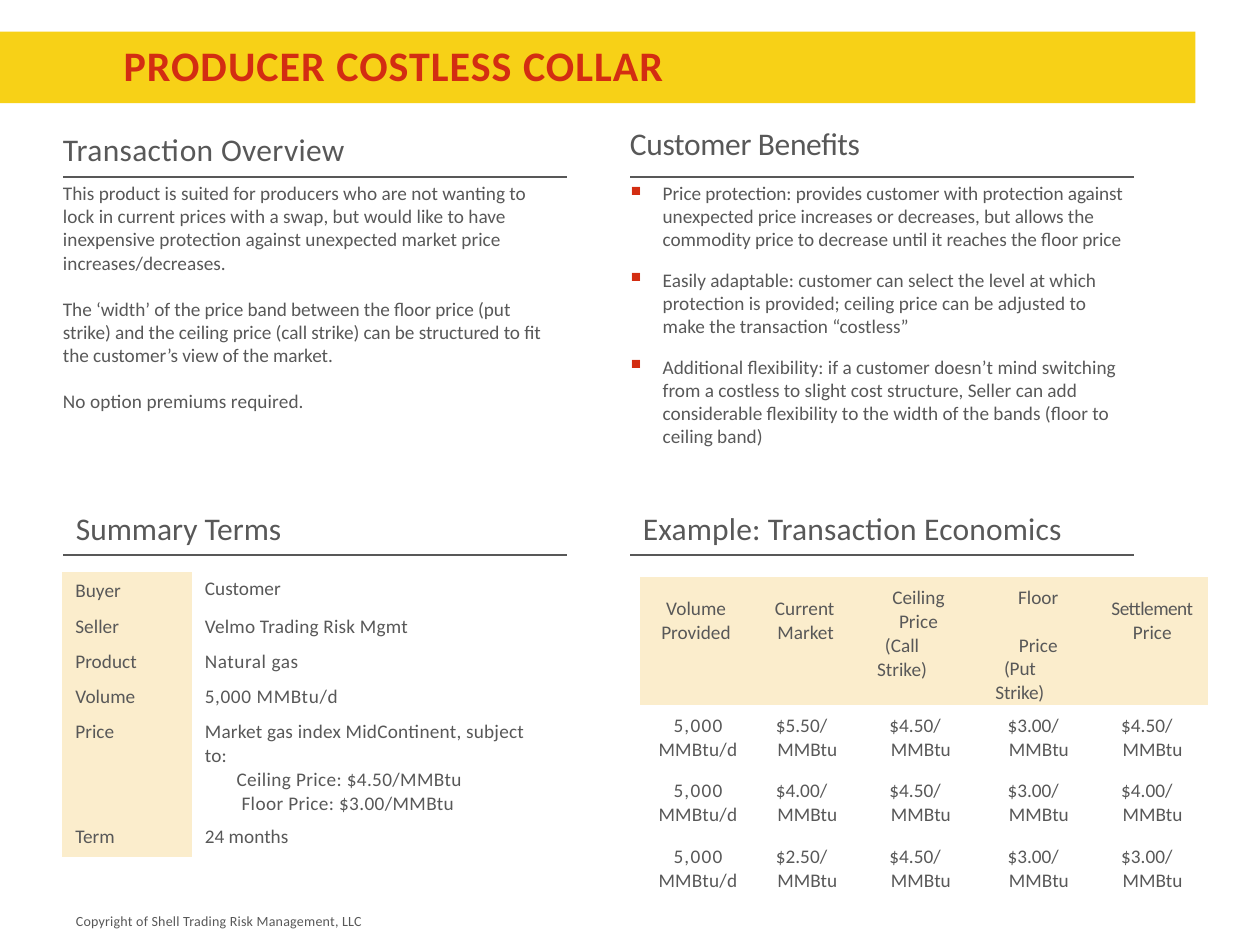
"""Build the producer costless collar slide."""
from dataclasses import dataclass, field
from typing import Any

from lxml import etree
from pptx import Presentation
from pptx.dml.color import RGBColor
from pptx.enum import shapes, text
from pptx.oxml.ns import qn
from pptx.util import Cm, Pt


@dataclass(frozen=True)
class Theme:
    """Colours, font and type sizes of the slide."""
    band: str = "F7D117"
    accent: str = "D32D12"
    ink: str = "585858"
    cream: str = "FBEDCC"
    font: str = "Calibri"
    title: float = 24
    heading: float = 18
    body: float = 11
    note: float = 8
    plain_table: str = "{2D5ABB26-0587-4C30-8999-92F81FD0307C}"


THEME = Theme()
CENTER = text.PP_ALIGN.CENTER


@dataclass(frozen=True)
class Line:
    """One paragraph; indents in cm, tracking and space before in points."""
    words: str
    left: float = 0
    first: float = 0
    right: float = 0
    tracking: float = 0
    before: float = 0
    align: Any = None
    bullet: bool = False


@dataclass(frozen=True)
class Box:
    """A text box placed in cm."""
    left: float
    top: float
    width: float
    height: float
    lines: list[Line]
    size: float = THEME.body


@dataclass(frozen=True)
class Cell:
    """A table cell with its top margin in cm."""
    lines: list[Line] = field(default_factory=list)
    top: float = 0.1
    filled: bool = False


def apply(target: Any, values: dict[str, Any]) -> None:
    """Set every named attribute on the target."""
    for name, value in values.items():
        setattr(target, name, value)


def add_bullet(properties: Any) -> None:
    """Give the paragraph a small square accent bullet."""
    colour = etree.SubElement(properties, qn("a:buClr"))
    etree.SubElement(colour, qn("a:srgbClr"), val=THEME.accent)
    etree.SubElement(properties, qn("a:buSzPct"), val="73000")
    etree.SubElement(properties, qn("a:buChar"), char="■")


def write(frame: Any, lines: list[Line], size: float, colour: str = THEME.ink,
          bold: bool = False) -> None:
    """Fill a text frame with formatted paragraphs."""
    for index, line in enumerate(lines):
        paragraph = frame.paragraphs[0] if index == 0 else frame.add_paragraph()
        properties = paragraph._p.get_or_add_pPr()
        for name, length in (("marL", line.left), ("marR", line.right), ("indent", line.first)):
            properties.set(name, str(int(Cm(length))))
        if line.bullet:
            add_bullet(properties)
        apply(paragraph, {"alignment": line.align or text.PP_ALIGN.LEFT,
                          "space_before": Pt(line.before)})
        run = paragraph.add_run()
        run.text = line.words
        apply(run.font, {"name": THEME.font, "size": Pt(size), "bold": bold})
        run.font.color.rgb = RGBColor.from_string(colour)
        run.font._element.set("spc", str(round(line.tracking * 100)))


def prepare(frame: Any) -> None:
    """Wrap a text frame and trim its margins."""
    apply(frame, {"word_wrap": True, "auto_size": text.MSO_AUTO_SIZE.NONE,
                  "vertical_anchor": text.MSO_ANCHOR.TOP, "margin_left": Cm(0.03),
                  "margin_right": 0, "margin_top": Cm(0.05), "margin_bottom": 0})


def add_box(slide: Any, box: Box) -> None:
    """Draw a text box."""
    shape = slide.shapes.add_textbox(Cm(box.left), Cm(box.top), Cm(box.width), Cm(box.height))
    prepare(shape.text_frame)
    write(shape.text_frame, box.lines, box.size)


def add_rule(slide: Any, left: float, top: float) -> None:
    """Draw the line under a heading."""
    rule = slide.shapes.add_connector(shapes.MSO_CONNECTOR.STRAIGHT, Cm(left), Cm(top),
                                      Cm(left + 10.16), Cm(top))
    rule.line.width = Pt(1.2)
    rule.line.color.rgb = RGBColor.from_string(THEME.ink)
    etree.SubElement(rule._element.spPr, qn("a:effectLst"))


def add_table(slide: Any, left: float, top: float, widths: list[float],
              heights: list[float], rows: list[list[Cell]]) -> None:
    """Draw a table without a banded style."""
    frame = slide.shapes.add_table(len(heights), len(widths), Cm(left), Cm(top),
                                   Cm(sum(widths)), Cm(sum(heights)))
    frame.element.find(".//" + qn("a:tableStyleId")).text = THEME.plain_table
    table = frame.table
    apply(table, {"first_row": False, "horz_banding": False})
    for column, width in zip(table.columns, widths):
        column.width = Cm(width)
    for table_row, height, row in zip(table.rows, heights, rows):
        table_row.height = Cm(height)
        for cell, content in zip(table_row.cells, row):
            apply(cell, {"margin_left": 0, "margin_right": 0, "margin_bottom": 0,
                         "margin_top": Cm(content.top)})
            if content.filled:
                cell.fill.solid()
                cell.fill.fore_color.rgb = RGBColor.from_string(THEME.cream)
            else:
                cell.fill.background()
            if content.lines:
                write(cell.text_frame, content.lines, THEME.body)
            else:
                paragraph = cell.text_frame.paragraphs[0]
                etree.SubElement(paragraph._p, qn("a:endParaRPr"), sz="800")


def add_title(slide: Any, words: str) -> None:
    """Draw the title over its band."""
    band = slide.shapes.add_shape(shapes.MSO_SHAPE.RECTANGLE, 0, Cm(0.64), Cm(24.1), Cm(1.44))
    band.shadow.inherit = False
    band.fill.solid()
    band.fill.fore_color.rgb = RGBColor.from_string(THEME.band)
    band.line.fill.background()
    title = slide.shapes.title
    slide.shapes.element.append(title.element)
    apply(title, {"left": Cm(2.46), "top": Cm(0.74), "width": Cm(12), "height": Cm(1.09)})
    prepare(title.text_frame)
    write(title.text_frame, [Line(words, tracking=0.6)], THEME.title, THEME.accent, True)


def term_rows() -> list[list[Cell]]:
    """Return the rows of the summary terms."""
    price = [Line("Market gas index MidContinent, subject to:", 0.25, right=0.6, tracking=0.1),
             Line("Ceiling Price: $4.50/MMBtu Floor Price: $3.00/MMBtu", 0.99, -0.1, 1.78, 0.2)]
    terms = [("Buyer", [Line("Customer", 0.25)]),
             ("Seller", [Line("Velmo Trading Risk Mgmt", 0.25, tracking=0.1)]),
             ("Product", [Line("Natural gas", 0.25, tracking=0.3)]),
             ("Volume", [Line("5,000 MMBtu/d", 0.25, tracking=0.35)]),
             ("Price", price),
             ("Term", [Line("24 months", 0.25)])]
    return [[Cell([Line(label, 0.28)], 0.15 if label == "Buyer" else 0.1, True), Cell(lines)]
            for label, lines in terms]


def economics_rows() -> list[list[Cell]]:
    """Return the rows of the transaction economics."""
    header = [
        Cell([Line("Volume", 0.53), Line("Provided", 0.43)], 0.4, True),
        Cell([Line("Current", 0.38), Line("Market", 0.43)], 0.4, True),
        Cell([Line("Ceiling Price", 0.74, right=0.69, align=CENTER),
              Line("(Call Strike)", 0.15, right=0.76, align=CENTER)], 0.18, True),
        Cell([Line("Floor", 0.74, right=0.74, align=CENTER),
              Line("Price", 0.74, right=0.74, before=13.4, align=CENTER),
              Line("(Put Strike)", 0.05, right=0.79, tracking=-0.1, align=CENTER)], 0.18, True),
        Cell([Line("Settlement", tracking=-0.3, align=CENTER),
              Line("Price", align=CENTER)], 0.4, True)]
    volume = Cell([Line("5,000", tracking=0.7, align=CENTER),
                   Line("MMBtu/d", tracking=0.1, align=CENTER)], 0.18)
    prices = [("5.50", "4.50", "3.00", "4.50"),
              ("4.00", "4.50", "3.00", "4.00"),
              ("2.50", "4.50", "3.00", "3.00")]
    indents = (0.43, 0.74, 0.58, 0.53)
    body = [[volume] + [Cell([Line(f"${price}/ MMBtu", indent, -0.03)], 0.18)
                        for price, indent in zip(row, indents)] for row in prices]
    return [[Cell(top=0) for _ in header], header, *body]


BENEFITS = [
    ("Price protection: provides customer with protection against unexpected price increases or "
     "decreases, but allows the commodity price to decrease until it reaches the floor price",
     0, -0.05, 0),
    ("Easily adaptable: customer can select the level at which protection is provided; ceiling "
     "price can be adjusted to make the transaction “costless”", 0.38, 0, 9.9),
    ("Additional flexibility: if a customer doesn’t mind switching from a costless to slight cost "
     "structure, Seller can add considerable flexibility to the width of the bands (floor to "
     "ceiling band)", 0, 0, 10.1)]

BOXES = [
    Box(1.24, 2.57, 6.5, 0.84, [Line("Transaction Overview", tracking=0.2)], THEME.heading),
    Box(12.67, 2.46, 6.5, 0.84, [Line("Customer Benefits", tracking=-0.2)], THEME.heading),
    Box(1.5, 10.22, 6.5, 0.84, [Line("Summary Terms")], THEME.heading),
    Box(12.93, 10.22, 9.5, 0.84,
        [Line("Example: Transaction Economics", tracking=0.1)], THEME.heading),
    Box(1.24, 3.61, 9.65, 1.93, [Line(
        "This product is suited for producers who are not wanting to lock in current prices with "
        "a swap, but would like to have inexpensive protection against unexpected market price "
        "increases/decreases.")]),
    Box(1.24, 5.94, 10.06, 1.47, [Line(
        "The ‘width’ of the price band between the floor price (put strike) and the ceiling price "
        "(call strike) can be structured to fit the customer’s view of the market.",
        right=0.13, tracking=-0.06)]),
    Box(1.24, 7.8, 6, 0.53, [Line("No option premiums required.", tracking=0.05)]),
    Box(12.67, 3.61, 10.21, 5.89,
        [Line(words, 0.66, -0.64, right, tracking, before, bullet=True)
         for words, right, tracking, before in BENEFITS]),
    Box(1.5, 18.34, 7, 0.43,
        [Line("Copyright of Shell Trading Risk Management, LLC", tracking=0.1)], THEME.note)]


def main() -> None:
    """Build and save the slide."""
    presentation = Presentation()
    apply(presentation, {"slide_width": Cm(25.4), "slide_height": Cm(19.05)})
    slide = presentation.slides.add_slide(presentation.slide_layouts[5])
    add_title(slide, "PRODUCER COSTLESS COLLAR")
    for box in BOXES:
        add_box(slide, box)
    for top in (3.56, 11.18):
        for left in (1.27, 12.7):
            add_rule(slide, left, top)
    add_table(slide, 1.24, 11.53, [2.64, 7.54], [0.76, 0.71, 0.71, 0.71, 2.11, 0.74], term_rows())
    add_table(slide, 12.9, 11.18, [2.34, 1.98, 2.54, 2.34, 2.26],
              [0.46, 1.78, 1.32, 1.32, 1.14], economics_rows())
    presentation.save("out.pptx")


if __name__ == "__main__":
    main()
